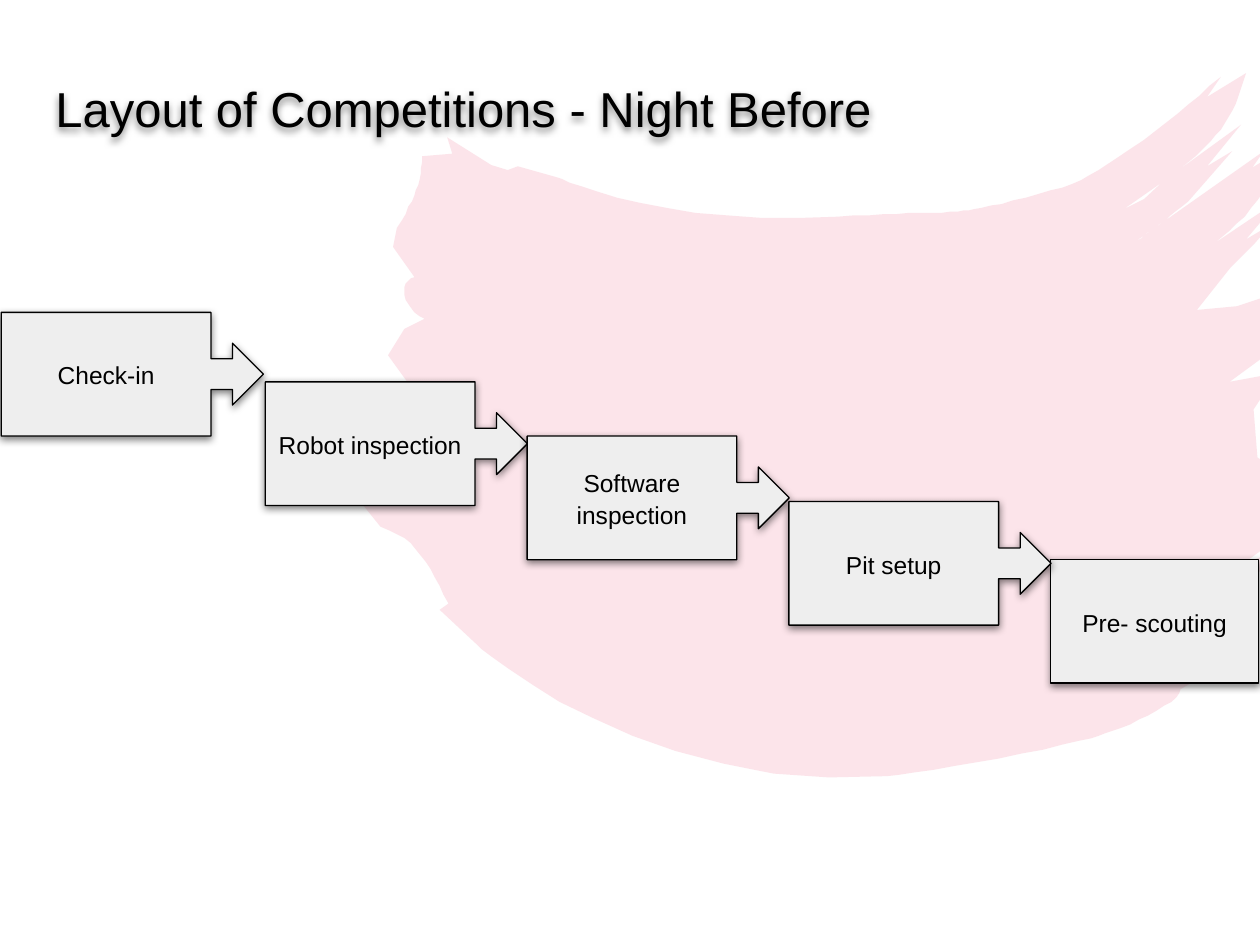
from lxml import etree
from pptx import Presentation
from pptx.dml.color import RGBColor
from pptx.enum import shapes, text
from pptx.oxml.ns import qn
from pptx.util import Pt

rgb = RGBColor.from_string


def write(shape, words, size, align, anchor, top=7.2, space=1.0):
    frame = shape.text_frame
    frame.word_wrap = True
    frame.auto_size = text.MSO_AUTO_SIZE.NONE
    frame.vertical_anchor = anchor
    frame.margin_left = frame.margin_right = frame.margin_bottom = Pt(7.2)
    frame.margin_top = Pt(top)
    frame.text = words
    para = frame.paragraphs[0]
    para.alignment = align
    para.line_spacing = space
    font = para.runs[0].font
    font.name, font.size = "Arial", Pt(size)
    font.color.rgb = rgb("000000")


def shade(shape):
    """Give the shape a soft black shadow that falls straight down."""
    shape.shadow.inherit = False
    effects = shape._element.spPr.find(qn("a:effectLst"))
    outer = etree.SubElement(
        effects, qn("a:outerShdw"), blurRad=str(Pt(4.5)), dist=str(Pt(1.5)),
        dir="5400000", algn="bl", rotWithShape="0")
    black = etree.SubElement(outer, qn("a:srgbClr"), val="000000")
    etree.SubElement(black, qn("a:alpha"), val="50000")


deck = Presentation()
deck.slide_width, deck.slide_height = Pt(720), Pt(540)
slide = deck.slides.add_slide(deck.slide_layouts[5])
title = slide.shapes.title

# Brush stroke in hundredths of an inch: two numbers are a line, six a curve
edge = [
    (443, 141), (447, 144, 539, 181, 665, 172),
    (716, 169, 754, 169, 769, 167), (782, 165, 845, 151, 863, 140),
    (900, 120, 935, 90, 969, 61), (958, 77), (989, 58), (981, 82),
    (970, 105, 955, 120, 934, 136), (985, 99), (958, 132), (978, 120),
    (943, 160), (925, 175, 905, 190, 888, 201), (1003, 120), (994, 133),
    (1020, 117), (1010, 145, 990, 175, 964, 193), (1016, 158), (989, 190),
    (1009, 178), (996, 193), (977, 212), (950, 246), (982, 243), (1024, 229),
    (1032, 262), (976, 303), (1014, 296), (995, 325), (998, 363),
    (1016, 375), (1046, 386), (1015, 404), (1048, 403), (987, 447),
    (1024, 434), (977, 472), (959, 495), (980, 494), (927, 528), (982, 521),
    (937, 547), (938, 558, 889, 579, 872, 584), (856, 590, 734, 614, 704, 616),
    (515, 631, 380, 514, 379, 512), (349, 484), (356, 479),
    (341, 449, 331, 427, 302, 418), (285, 397), (298, 343), (329, 311),
    (308, 282), (321, 261), (337, 253), (319, 244, 316, 223, 329, 220),
    (312, 196), (315, 181), (330, 156, 334, 145, 335, 124), (359, 122),
    (355, 109), (390, 131), (403, 135), (411, 132),
]
points, steps = edge[:1], 12
for part in edge[1:]:
    if len(part) == 2:
        points.append(part)
        continue
    knots = [points[-1], part[:2], part[2:4], part[4:]]
    for step in range(1, steps + 1):
        t = step / steps
        mix = ((1 - t) ** 3, 3 * t * (1 - t) ** 2, 3 * t * t * (1 - t), t ** 3)
        points.append(tuple(sum(m * k[axis] for m, k in zip(mix, knots))
                            for axis in (0, 1)))
pen = slide.shapes.build_freeform(*points[0], scale=Pt(0.72))
pen.add_line_segments(points[1:], close=True)
pen.move_to(922, 145)
pen.add_line_segments([(892, 166), (908, 158)], close=True)
brush = pen.convert_to_shape()
brush.shadow.inherit = False
brush.fill.solid()
brush.fill.fore_color.rgb = rgb("F07C98")
tint = brush._element.spPr.find(qn("a:solidFill"))[0]
etree.SubElement(tint, qn("a:alpha"), val="20000")
brush.line.fill.background()

# The title lies over the brush stroke
slide.shapes._spTree.append(title._element)
title.left, title.top, title.width, title.height = Pt(24.5), Pt(35.3), Pt(671), Pt(45.4)
write(title, "Layout of Competitions - Night Before", 28,
      text.PP_ALIGN.LEFT, text.MSO_ANCHOR.TOP, top=9.5)
shade(title)

arrow = shapes.MSO_SHAPE.RIGHT_ARROW_CALLOUT
box = shapes.MSO_SHAPE.RECTANGLE
for name, kind, left, top, width in [
    ("Check-in", arrow, 0.7, 178.5, 149.8),
    ("Robot inspection", arrow, 151.6, 218.2, 149.8),
    ("Software inspection", arrow, 301.2, 249.2, 149.8),
    ("Pre- scouting", box, 600.4, 319.7, 118.8),
    ("Pit setup", arrow, 450.8, 286.6, 149.8),
]:
    stage = slide.shapes.add_shape(kind, Pt(left), Pt(top), Pt(width), Pt(70.6))
    if kind == arrow:
        for i, ratio in enumerate((0.25, 0.25, 0.25, 0.8)):
            stage.adjustments[i] = ratio
    stage.fill.solid()
    stage.fill.fore_color.rgb = rgb("EEEEEE")
    stage.line.color.rgb = rgb("000000")
    stage.line.width = Pt(0.75)
    shade(stage)
    write(stage, name, 14, text.PP_ALIGN.CENTER, text.MSO_ANCHOR.MIDDLE, space=1.07)

deck.save("out.pptx")
